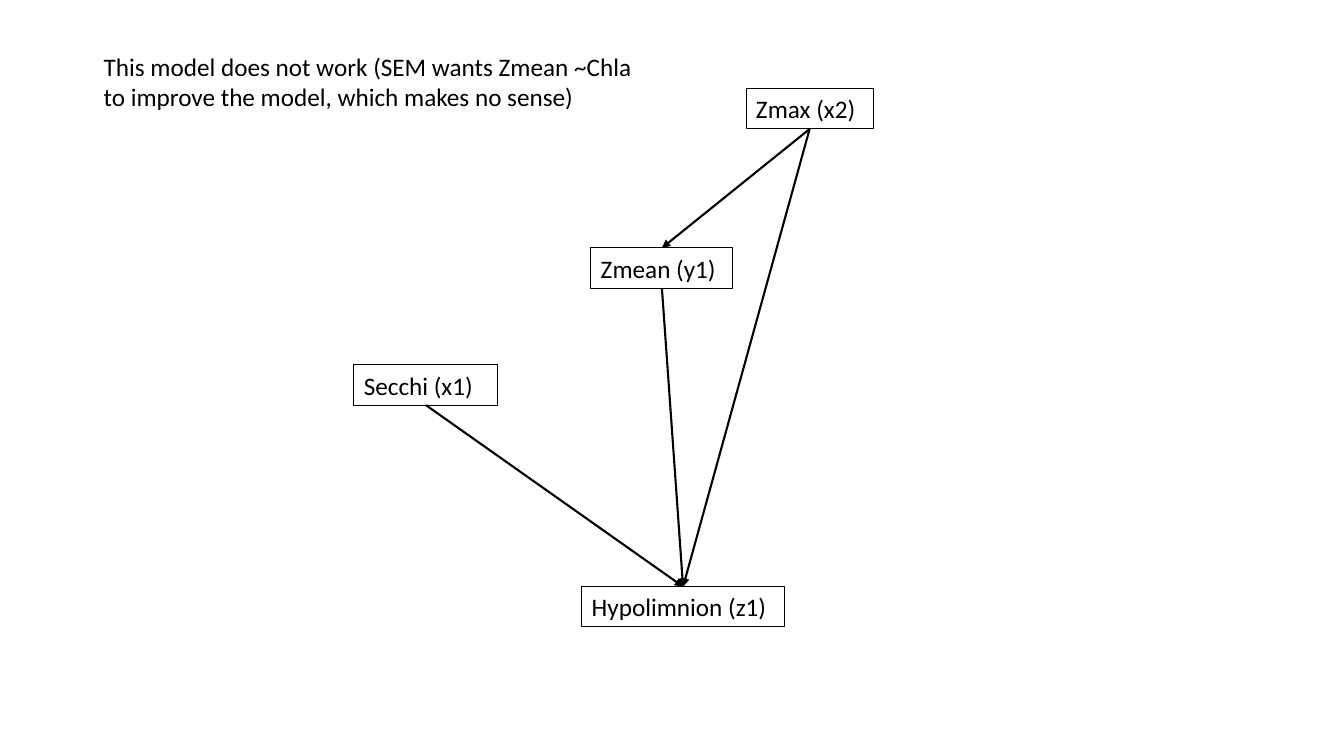
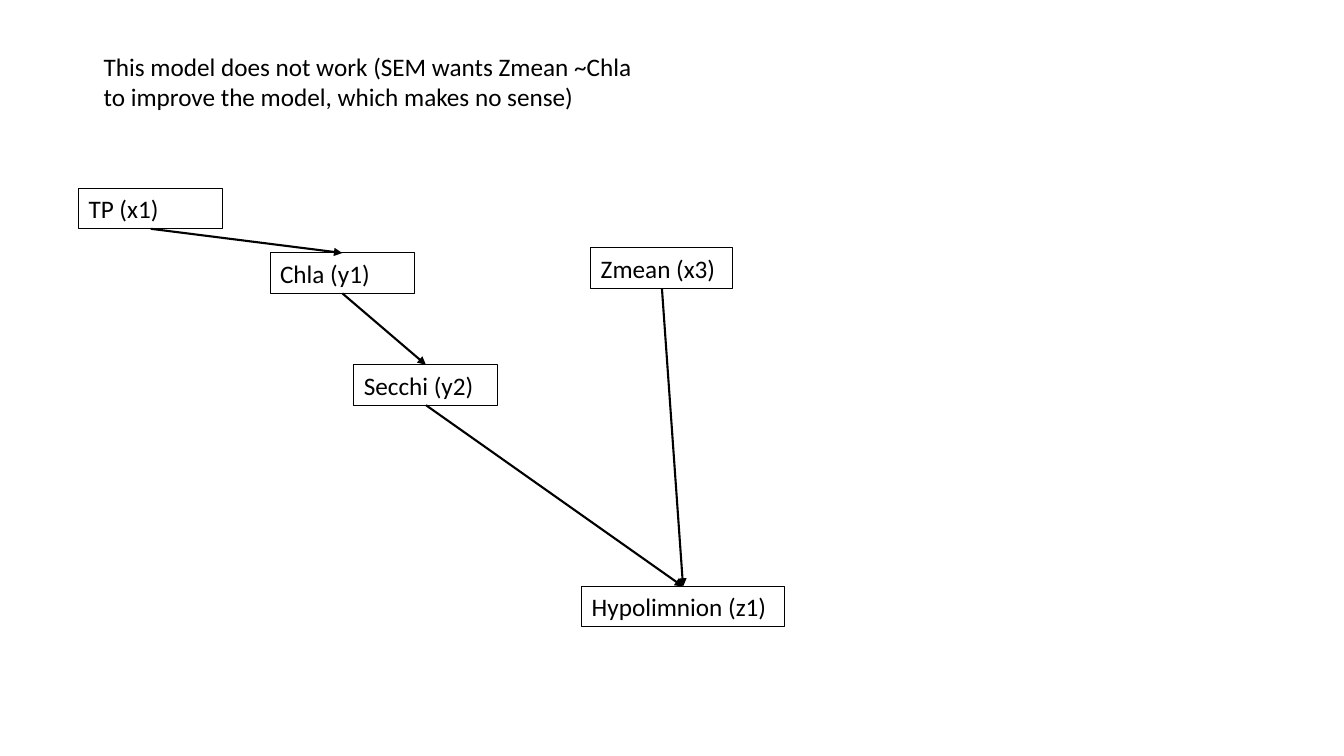
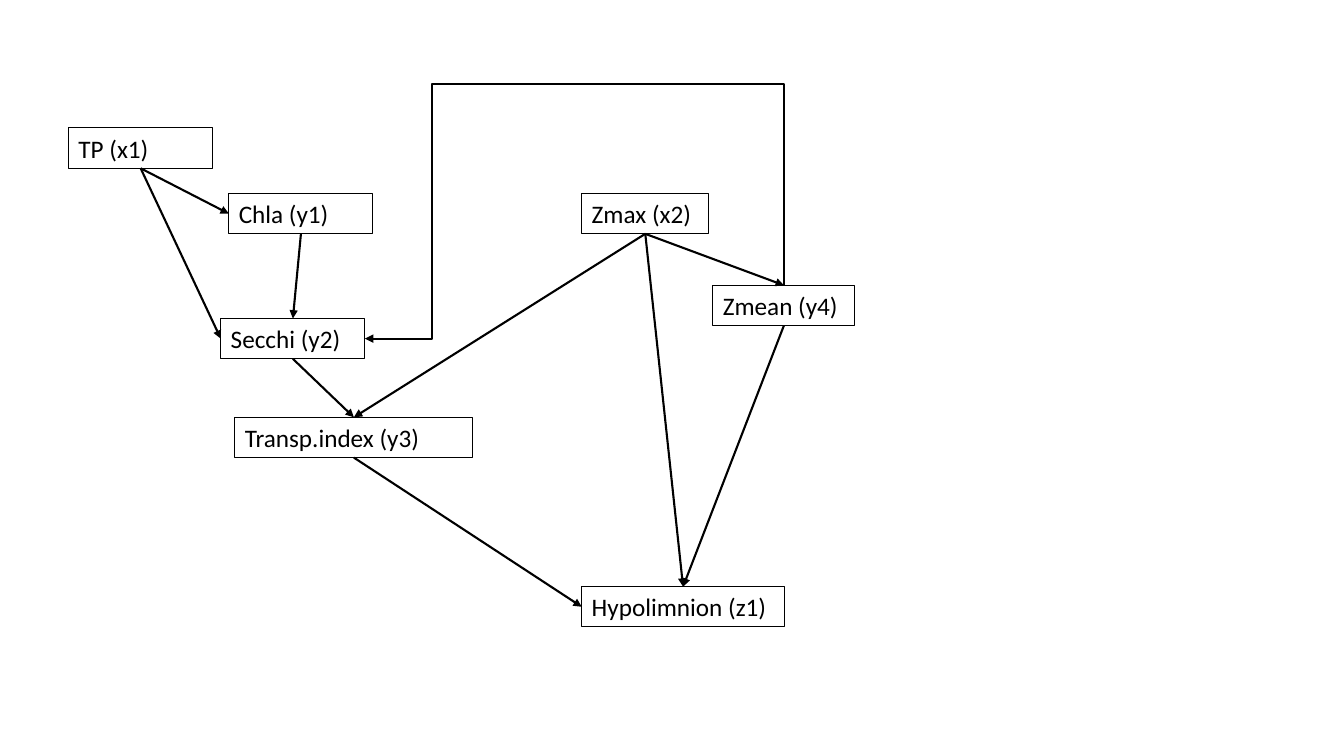
from lxml import etree
from pptx import Presentation
from pptx.dml.color import RGBColor
from pptx.enum.shapes import MSO_CONNECTOR
from pptx.enum.text import MSO_ANCHOR, MSO_AUTO_SIZE, PP_ALIGN
from pptx.oxml.ns import qn
from pptx.util import Inches, Pt

STRAIGHT, ELBOW = MSO_CONNECTOR.STRAIGHT, MSO_CONNECTOR.ELBOW
LEFT, TOP = PP_ALIGN.LEFT, MSO_ANCHOR.TOP
FIT_SHAPE = MSO_AUTO_SIZE.SHAPE_TO_FIT_TEXT

THEME = {
    "ink": RGBColor(0, 0, 0),
    "font": "Calibri",
    "size": 18,
    "border": 0.75,
    "arrow": 1.5,
}
BOX_HEIGHT = 0.4
BOX_WIDTHS = {
    "Hypolimnion": 2.01, "Zmean": 1.41, "Zmax": 1.26, "TP": 1.43,
    "Chla": 1.43, "Secchi": 1.43, "Transp.index": 2.36,
}
SITES = {"top": 0, "left": 1, "bottom": 2, "right": 3}

NOTE = ("This model does not work (SEM wants Zmean ~Chla "
        "to improve the model, which makes no sense)")
NOTE_AREA = (0.93, 0.46, 5.52, 0.71)

MODELS = [
    {
        "note": NOTE,
        "variables": {
            "Hypolimnion": ("z1", 5.77, 5.82),
            "Zmean": ("y1", 5.86, 2.46),
            "Zmax": ("x2", 7.4, 0.88),
            "Secchi": ("x1", 3.51, 3.62),
        },
        "effects": [
            ("Zmax", "Hypolimnion", "top"),
            ("Zmax", "Zmean", "top"),
            ("Zmean", "Hypolimnion", "top"),
            ("Secchi", "Hypolimnion", "top"),
        ],
    },
    {
        "note": NOTE,
        "variables": {
            "Hypolimnion": ("z1", 5.77, 5.82),
            "Zmean": ("x3", 5.86, 2.46),
            "TP": ("x1", 0.78, 1.87),
            "Chla": ("y1", 2.68, 2.51),
            "Secchi": ("y2", 3.51, 3.62),
        },
        "effects": [
            ("Zmean", "Hypolimnion", "top"),
            ("TP", "Chla", "top"),
            ("Chla", "Secchi", "top"),
            ("Secchi", "Hypolimnion", "top"),
        ],
    },
    {
        "variables": {
            "Hypolimnion": ("z1", 5.77, 5.82),
            "Zmean": ("y4", 7.07, 2.83),
            "Zmax": ("x2", 5.77, 1.92),
            "TP": ("x1", 0.68, 1.27),
            "Chla": ("y1", 2.27, 1.92),
            "Secchi": ("y2", 2.19, 3.16),
            "Transp.index": ("y3", 2.33, 4.14),
        },
        "effects": [
            ("Zmax", "Hypolimnion", "top"),
            ("Zmax", "Zmean", "top"),
            ("Zmean", "Hypolimnion", "top"),
            ("TP", "Chla", "left"),
            ("Chla", "Secchi", "top"),
            ("Transp.index", "Hypolimnion", "left"),
            ("TP", "Secchi", "left"),
            ("Secchi", "Transp.index", "top"),
            ("Zmax", "Transp.index", "top"),
        ],
        "detour": {"source": "Zmean", "target": "Secchi", "x": 4.28, "y": 0.83},
    },
]


def add_text(page, text, area, border=None, size=THEME["size"]):
    box = page.shapes.add_textbox(*map(Inches, area))
    frame = box.text_frame
    frame.word_wrap = True
    frame.auto_size = FIT_SHAPE
    frame.vertical_anchor = TOP
    para = frame.paragraphs[0]
    para.alignment = LEFT
    span = para.add_run()
    span.text = text
    span.font.name = THEME["font"]
    span.font.size = Pt(size)
    span.font.color.rgb = THEME["ink"]
    if border:
        box.line.color.rgb = THEME["ink"]
        box.line.width = Pt(border)
    return box


def add_arrow(page, kind, source, source_side, target, target_side):
    arrow = page.shapes.add_connector(kind, 0, 0, 0, 0)
    arrow.begin_connect(source, SITES[source_side])
    arrow.end_connect(target, SITES[target_side])
    arrow.line.color.rgb = THEME["ink"]
    arrow.line.width = Pt(THEME["arrow"])
    etree.SubElement(arrow.line._get_or_add_ln(), qn("a:tailEnd"), type="triangle")
    etree.SubElement(arrow._element.spPr, qn("a:effectLst"))
    return arrow


def add_detour(page, source, target, x, y):
    arrow = add_arrow(page, ELBOW, source, "top", target, "right")
    start_x, start_y = arrow.begin_x, arrow.begin_y
    end_x, end_y = arrow.end_x, arrow.end_y
    across, down = start_x - end_x, end_y - start_y
    arrow.left = (start_x + end_x - down) // 2
    arrow.top = (start_y + end_y - across) // 2
    arrow.width, arrow.height = down, across
    properties = arrow._element.spPr
    frame = properties.find(qn("a:xfrm"))
    for name, value in (("rot", "16200000"), ("flipH", "1"), ("flipV", "1")):
        frame.set(name, value)
    geometry = properties.find(qn("a:prstGeom"))
    geometry.set("prst", "bentConnector4")
    guides = geometry.find(qn("a:avLst"))
    bends = ((Inches(y) - start_y) / down, (start_x - Inches(x)) / across)
    for number, share in enumerate(bends, 1):
        etree.SubElement(guides, qn("a:gd"), name=f"adj{number}",
                         fmla=f"val {round(share * 100000)}")


def add_model(deck, model):
    page = deck.slides.add_slide(deck.slide_layouts[6])
    boxes = {}
    for name, (code, left, top) in model["variables"].items():
        area = (left, top, BOX_WIDTHS[name], BOX_HEIGHT)
        boxes[name] = add_text(page, f"{name} ({code})", area, border=THEME["border"])
    for source, target, side in model["effects"]:
        add_arrow(page, STRAIGHT, boxes[source], "bottom", boxes[target], side)
    if "detour" in model:
        detour = model["detour"]
        add_detour(page, boxes[detour["source"]], boxes[detour["target"]],
                   detour["x"], detour["y"])
    if "note" in model:
        add_text(page, model["note"], NOTE_AREA)


def main():
    deck = Presentation()
    deck.slide_width, deck.slide_height = Inches(13.33), Inches(7.5)
    for model in MODELS:
        add_model(deck, model)
    deck.save("out.pptx")


if __name__ == "__main__":
    main()
